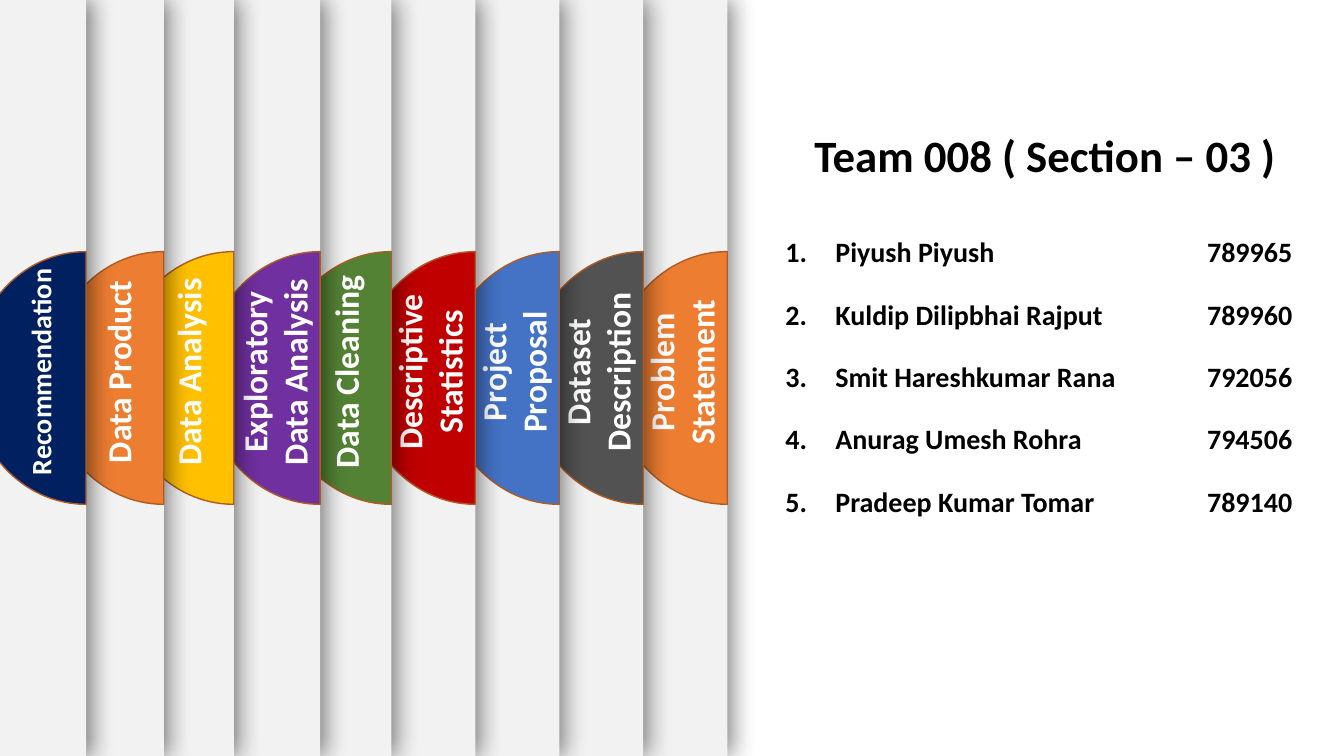
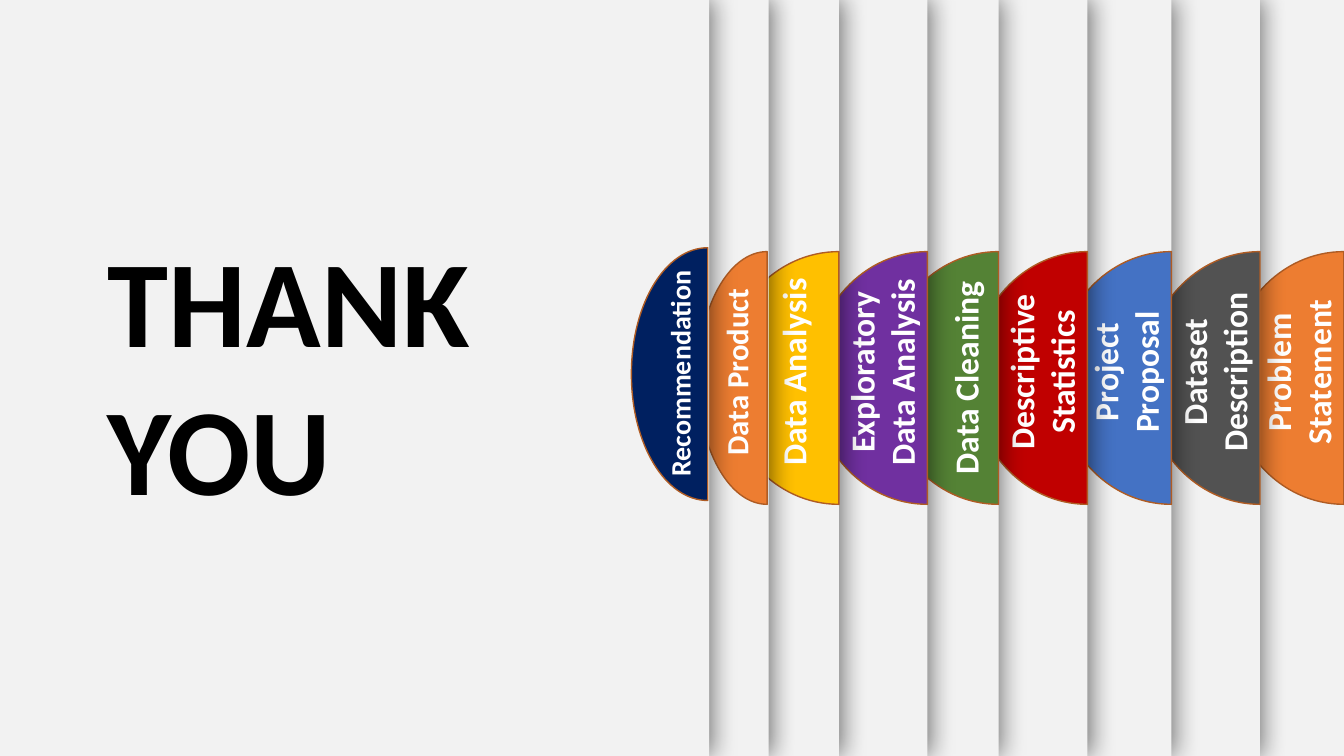
from dataclasses import dataclass

from lxml import etree
from pptx import Presentation
from pptx.dml.color import RGBColor
from pptx.enum import text as kinds
from pptx.enum.shapes import MSO_SHAPE
from pptx.oxml.ns import qn
from pptx.util import Pt


@dataclass(frozen=True)
class Theme:
    font: str = "Calibri"
    ink: str = "000000"
    light: str = "FFFFFF"
    panel: str = "F2F2F2"
    outline: str = "AF5C24"
    label: int = 24
    small_label: int = 20
    row: int = 20
    title: int = 32
    closing: int = 88


theme = Theme()
align = kinds.PP_ALIGN
grow = kinds.MSO_AUTO_SIZE.SHAPE_TO_FIT_TEXT
WIDTH, HEIGHT = 960, 540
TAB_HEIGHT = 180.5

# Two quarter curves of the tab, from bottom right to top right, as shares of its size
CURVES = [
    [(0.45, 1), (0, 0.78), (0, 0.5)],
    [(0, 0.22), (0.45, 0), (1, 0)],
]

# Tabs from back to front: name, colour, lines of text, text size
TABS = [
    ("Problem Statement", "ED7D31", 2, theme.label),
    ("Dataset Description", "525252", 2, theme.label),
    ("Project Proposal", "4472C4", 2, theme.label),
    ("Descriptive Statistics", "C00000", 2, theme.label),
    ("Data Cleaning", "548235", 1, theme.label),
    ("Exploratory Data Analysis", "7030A0", 2, theme.label),
    ("Data Analysis", "FFC000", 1, theme.label),
    ("Data Product", "ED7D31", 1, theme.label),
    ("Recommendation", "002060", 1, theme.small_label),
]
TAB_DEFAULTS = {"width": 82.5, "top": 179.75, "gap": 0, "inset": 32.5, "middle": 265.75}


def write(para, words, size, color, alignment):
    para.alignment = alignment
    span = para.add_run()
    span.text = words
    span.font.name = theme.font
    span.font.size = Pt(size)
    span.font.bold = True
    span.font.color.rgb = RGBColor.from_string(color)


def add_panels(page, edges, changes):
    """Stack the sheets, each with a half-round tab and an upward label."""
    for (name, color, lines, size), edge in zip(TABS, edges):
        tab = TAB_DEFAULTS | {"size": size} | changes.get(name, {})

        # Sheet with a soft shadow to the right
        sheet = page.shapes.add_shape(
            MSO_SHAPE.RECTANGLE, Pt(edge + tab["gap"] - WIDTH), 0, Pt(WIDTH), Pt(HEIGHT))
        sheet.fill.solid()
        sheet.fill.fore_color.rgb = RGBColor.from_string(theme.panel)
        sheet.line.fill.background()
        sheet.shadow.inherit = False
        effects = sheet._element.spPr.find(qn("a:effectLst"))
        shadow = etree.SubElement(effects, qn("a:outerShdw"), blurRad=str(Pt(17)),
                                  dist=str(Pt(3)), dir="0", algn="l", rotWithShape="0")
        shade = etree.SubElement(shadow, qn("a:srgbClr"), val=theme.ink)
        etree.SubElement(shade, qn("a:alpha"), val="50000")

        # Half-round tab, flat on the right; its left side is bent into two curves
        top, bottom = tab["top"], tab["top"] + TAB_HEIGHT
        outline = page.shapes.build_freeform(Pt(edge), Pt(top), scale=1.0)
        outline.add_line_segments(
            [(Pt(edge), Pt(bottom)), (Pt(edge - tab["width"]), Pt((top + bottom) / 2))],
            close=True)
        half = outline.convert_to_shape()
        corner = half._element.findall(".//" + qn("a:lnTo"))[-1]
        for curve in CURVES:
            bend = etree.Element(qn("a:cubicBezTo"))
            for across, down in curve:
                etree.SubElement(bend, qn("a:pt"), x=str(round(across * half.width)),
                                 y=str(round(down * half.height)))
            corner.addprevious(bend)
        corner.getparent().remove(corner)
        half.shadow.inherit = False
        half.fill.solid()
        half.fill.fore_color.rgb = RGBColor.from_string(color)
        half.line.color.rgb = RGBColor.from_string(theme.outline)
        half.line.width = Pt(1)

        # Label reading upwards
        length, depth = 165, 7.2 + lines * tab["size"] * 1.22
        box = page.shapes.add_textbox(
            Pt(edge - tab["inset"] - length / 2), Pt(tab["middle"] - depth / 2),
            Pt(length), Pt(depth))
        box.rotation = 270
        box.text_frame.word_wrap = True
        box.text_frame.auto_size = grow
        write(box.text_frame.paragraphs[0], name, tab["size"], theme.light, align.CENTER)


deck = Presentation()
deck.slide_width, deck.slide_height = Pt(WIDTH), Pt(HEIGHT)
blank = deck.slide_layouts[6]

# Slide 1: team
page = deck.slides.add_slide(blank)
add_panels(page, [519.5, 459.5, 399.5, 339.5, 279.5, 228.75, 167, 117, 61.5], {})

members = [
    ("Piyush Piyush", "789965"),
    ("Kuldip Dilipbhai Rajput", "789960"),
    ("Smit Hareshkumar Rana", "792056"),
    ("Anurag Umesh Rohra", "794506"),
    ("Pradeep Kumar Tomar", "789140"),
]
row_height = 44.6
columns = [(41.5, align.CENTER), (251, align.LEFT), (104.5, align.CENTER)]
table = page.shapes.add_table(
    len(members), len(columns), Pt(548), Pt(158.5),
    Pt(sum(width for width, _ in columns)), Pt(row_height * len(members))).table
table.first_row = table.horz_banding = False
for index, (width, _) in enumerate(columns):
    table.columns[index].width = Pt(width)
for index, (member, number) in enumerate(members):
    table.rows[index].height = Pt(row_height)
    values = (f"{index + 1}.", member, number)
    for cell, words, (_, alignment) in zip(table.rows[index].cells, values, columns):
        cell.fill.background()
        cell.vertical_anchor = kinds.MSO_ANCHOR.MIDDLE
        write(cell.text_frame.paragraphs[0], words, theme.row, theme.ink, alignment)

title = page.shapes.add_textbox(Pt(558.5), Pt(88), Pt(376), Pt(46))
title.text_frame.word_wrap = True
title.text_frame.auto_size = grow
write(title.text_frame.paragraphs[0], "Team 008 ( Section – 03 )",
      theme.title, theme.ink, align.CENTER)

# Slide 2: closing
page = deck.slides.add_slide(blank)
add_panels(page, [960, 900, 836.75, 776.75, 713.25, 662.5, 599.25, 548, 505.5], {
    "Data Cleaning": {"inset": 23.5, "middle": 270},
    "Data Product": {"width": 49.5, "gap": 1, "inset": 22, "size": 22},
    "Recommendation": {"width": 54.5, "top": 177, "gap": 1, "inset": 20, "middle": 267},
})

closing = page.shapes.add_textbox(Pt(70), Pt(157), Pt(435.5), Pt(220.5))
frame = closing.text_frame
frame.word_wrap = True
frame.auto_size = grow
for para, words in zip((frame.paragraphs[0], frame.add_paragraph()), ("THANK", "YOU")):
    write(para, words, theme.closing, theme.ink, align.JUSTIFY)

deck.save("out.pptx")
